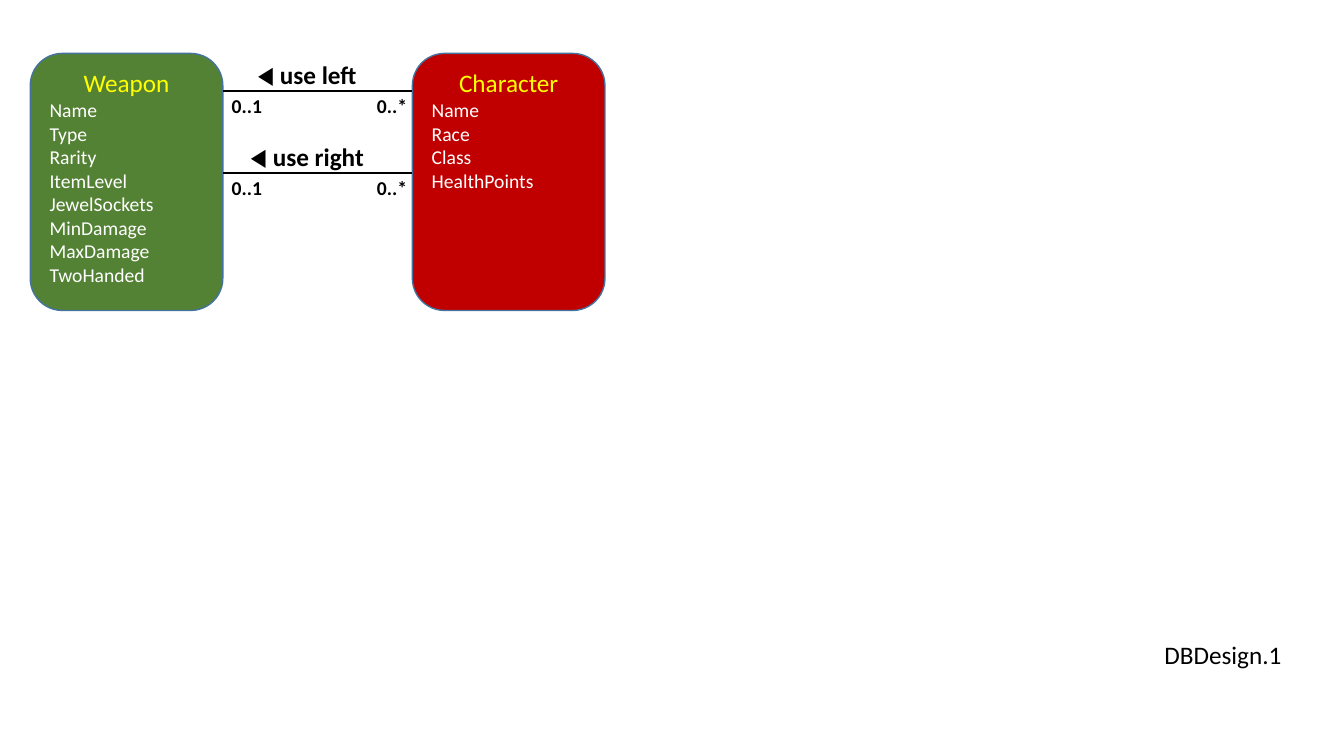
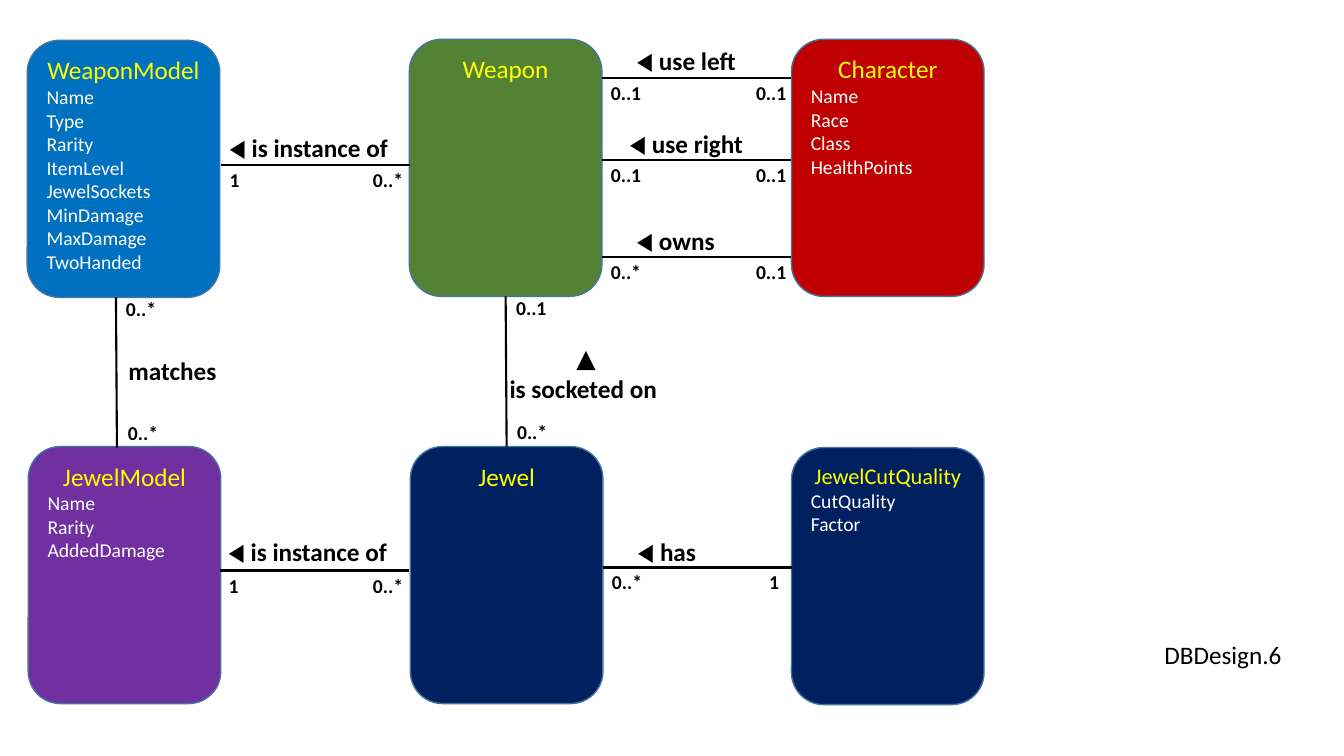
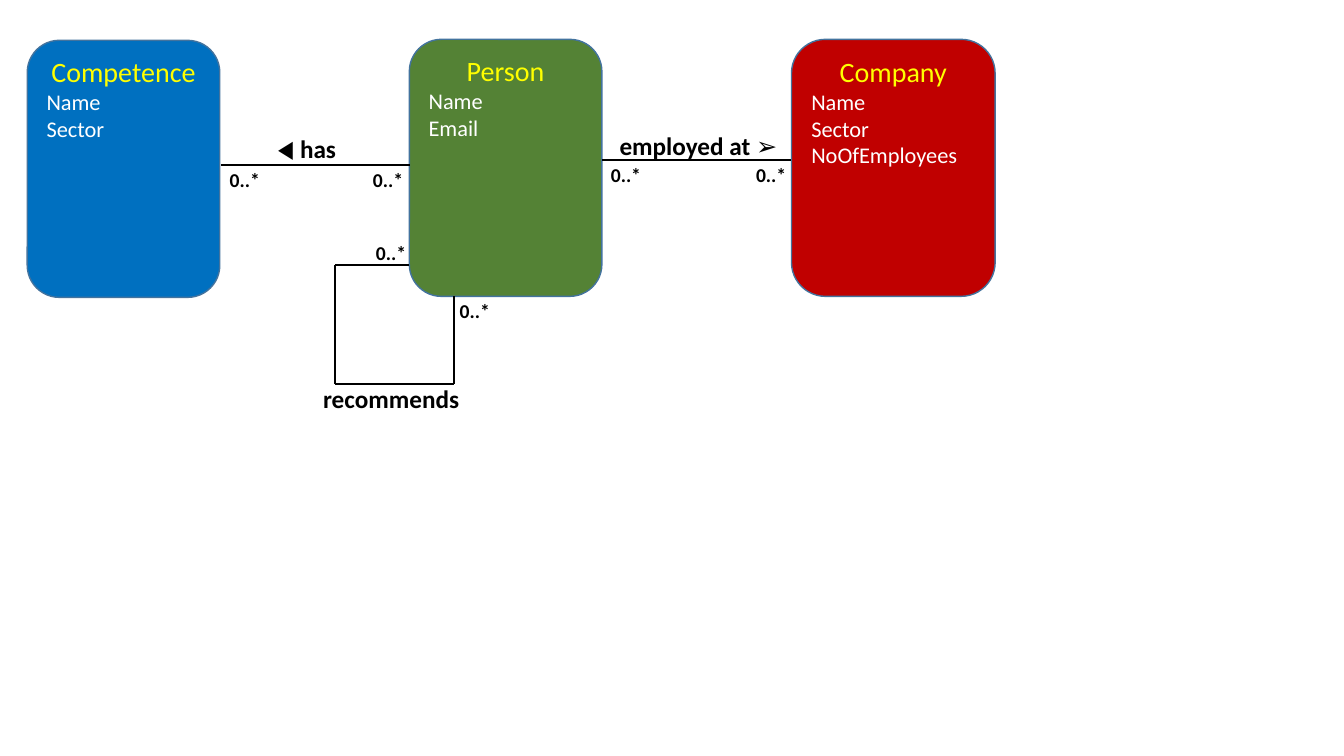
from dataclasses import dataclass
from itertools import pairwise

from lxml.etree import SubElement
from pptx import Presentation
from pptx.dml.color import RGBColor as Rgb
from pptx.enum.shapes import MSO_CONNECTOR as Conn, MSO_SHAPE as Form
from pptx.enum.text import MSO_ANCHOR as Anchor, PP_ALIGN as Align
from pptx.oxml.ns import qn
from pptx.shapes.autoshape import Shape
from pptx.shapes.connector import Connector
from pptx.slide import Slide
from pptx.util import Pt

# Shared look
PX = 9144  # EMU in one px, 100 px to the inch
FONT = "Calibri"
BLACK = Rgb(0x00, 0x00, 0x00)
WHITE = Rgb(0xFF, 0xFF, 0xFF)
YELLOW = Rgb(0xFF, 0xFF, 0x00)
GREEN = Rgb(0x54, 0x82, 0x35)
RED = Rgb(0xC0, 0x00, 0x00)
BLUE = Rgb(0x00, 0x70, 0xC0)
PURPLE = Rgb(0x70, 0x30, 0xA0)
NAVY = Rgb(0x00, 0x20, 0x60)
EDGE = Rgb(0x43, 0x73, 0x9E)

BOX_W, BOX_H = 191, 255
VERB = {"size": 18, "bold": True, "color": BLACK}
MARK = {"size": 14, "bold": True, "color": BLACK}
FOOT = {"size": 18, "bold": False, "color": BLACK}
HIGH = {18: 40, 14: 34}  # label height by text size


@dataclass
class Box:
    """An entity: its name and its attributes."""
    name: str
    x: int
    y: int
    fill: Rgb
    items: tuple[str, ...] = ()
    head: int = 18
    body: int = 14
    w: int = BOX_W


@dataclass
class Note:
    """A line of free text; | parts paragraphs."""
    text: str
    x: int
    y: int
    w: int
    mid: bool = False


@dataclass
class Link:
    """A relation with its verb and the count at each end."""
    ends: tuple[int, int, int, int]
    first: str
    last: str
    verb: Note
    back: int = 45  # from the right end to its count
    join: tuple[str, str] | None = None  # boxes glued bottom to top


@dataclass
class Page:
    boxes: list[Box]
    links: list[Link]
    foot: str = ""


def style(font, form: dict) -> None:
    for key, val in {"name": FONT, **form}.items():
        if key == "color":
            font.color.rgb = val
        else:
            setattr(font, key, Pt(val) if key == "size" else val)


def draw_box(slide: Slide, box: Box) -> Shape:
    shape = slide.shapes.add_shape(
        Form.ROUNDED_RECTANGLE, *(n * PX for n in (box.x, box.y, box.w, BOX_H)))
    shape.shadow.inherit = False
    shape.fill.solid()
    shape.fill.fore_color.rgb = box.fill
    shape.line.color.rgb = EDGE
    shape.line.width = Pt(1)
    frame = shape.text_frame
    frame.word_wrap = True
    frame.vertical_anchor = Anchor.TOP
    for i, text in enumerate((box.name, *box.items)):
        para = frame.add_paragraph() if i else frame.paragraphs[0]
        para.alignment = Align.LEFT if i else Align.CENTER
        run = para.add_run()
        run.text = text
        style(run.font, {"size": box.body if i else box.head,
                         "color": WHITE if i else YELLOW})
    return shape


def draw_note(slide: Slide, note: Note, form: dict) -> None:
    lines = note.text.split("|")
    high = HIGH[form["size"]] + 31 * (len(lines) - 1)
    area = slide.shapes.add_textbox(
        *(n * PX for n in (note.x, note.y, note.w, high)))
    frame = area.text_frame
    frame.word_wrap = False
    for i, text in enumerate(lines):
        para = frame.add_paragraph() if i else frame.paragraphs[0]
        para.alignment = Align.CENTER if note.mid else Align.LEFT
        run = para.add_run()
        run.text = text
        style(run.font, form)


def draw_mark(slide: Slide, text: str, x: int, y: int) -> None:
    draw_note(slide, Note(text, x, y, 30 if len(text) == 1 else 51), MARK)


def draw_line(slide: Slide, ends: tuple[int, int, int, int]) -> Connector:
    line = slide.shapes.add_connector(Conn.STRAIGHT, *(n * PX for n in ends))
    line.line.color.rgb = BLACK
    line.line.width = Pt(1.5)
    SubElement(line._element.spPr, qn("a:effectLst"))
    return line


def draw_link(slide: Slide, link: Link, shapes: dict[str, Shape]) -> None:
    line = draw_line(slide, link.ends)
    if link.join:
        top, low = link.join
        line.begin_connect(shapes[top], 2)
        line.end_connect(shapes[low], 0)
    x1, y1, x2, y2 = link.ends
    if y1 == y2:
        draw_mark(slide, link.first, x1 - 1, y1 - 2)
        draw_mark(slide, link.last, x2 - link.back, y2 - 2)
    else:
        draw_mark(slide, link.first, x1, y1 - 5)
        draw_mark(slide, link.last, x2 + 1, y2 - 31)
    draw_note(slide, link.verb, VERB)


def draw_page(slide: Slide, page: Page) -> None:
    shapes = {box.name: draw_box(slide, box) for box in page.boxes}
    for link in page.links:
        draw_link(slide, link, shapes)
    if page.foot:
        draw_note(slide, Note(page.foot, 1145, 629, 138), FOOT)


def draw_loop(slide: Slide) -> None:
    """The relation from a person to a person."""
    turns = [(406, 263), (332, 263), (332, 381), (450, 381), (450, 294)]
    for start, end in pairwise(turns):
        draw_line(slide, (*start, *end))
    draw_mark(slide, "0..*", 363, 234)
    draw_mark(slide, "0..*", 446, 292)
    draw_note(slide, Note("recommends", 310, 375, 156, True), VERB)


# Content
GEAR = ("Name", "Type", "Rarity", "ItemLevel", "JewelSockets",
        "MinDamage", "MaxDamage", "TwoHanded")
HERO = ("Name", "Race", "Class", "HealthPoints")
LEFT, RIGHT, KIND = " ◀ use left", " ◀ use right", " ◀ is instance of"

PAGES = [
    Page(
        [Box("Weapon", 30, 53, GREEN, GEAR),
         Box("Character", 409, 53, RED, HERO)],
        [Link((221, 90, 409, 90), "0..1", "0..*", Note(LEFT, 240, 54, 129)),
         Link((221, 172, 409, 172), "0..1", "0..*",
              Note(RIGHT, 233, 135, 143))],
        "DBDesign.1"),
    Page(
        [Box("WeaponModel", 27, 40, BLUE, GEAR),
         Box("Weapon", 406, 39, GREEN),
         Box("Character", 785, 39, RED, HERO),
         Box("JewelModel", 28, 443, PURPLE, ("Name", "Rarity", "AddedDamage")),
         Box("Jewel", 407, 443, NAVY),
         Box("JewelCutQuality", 785, 444, NAVY, ("CutQuality", "Factor"), 16)],
        [Link((597, 77, 785, 77), "0..1", "0..1", Note(LEFT, 616, 40, 129)),
         Link((597, 159, 785, 159), "0..1", "0..1",
              Note(RIGHT, 609, 122, 143)),
         Link((597, 255, 785, 255), "0..*", "0..1",
              Note(" ◀ owns", 616, 219, 107)),
         Link((219, 164, 407, 164), "1", "0..*",
              Note(KIND, 212, 126, 188), 47),
         Link((218, 566, 406, 566), "1", "0..*",
              Note(KIND, 211, 527, 188), 46),
         Link((598, 563, 786, 563), "0..*", "1",
              Note(" ◀ has", 617, 527, 88), 33),
         Link((115, 295, 116, 444), "0..*", "0..*",
              Note("matches", 117, 348, 108, True)),
         Link((502, 294, 502, 443), "0..1", "0..*",
              Note(" ▲|is socketed on", 495, 335, 167, True),
              join=("Weapon", "Jewel"))],
        "DBDesign.6"),
    Page(
        [Box("Competence", 27, 40, BLUE, ("Name", "Sector"), 20, 16),
         Box("Person", 406, 39, GREEN, ("Name", "Email"), 20, 16),
         Box("Company", 785, 39, RED, ("Name", "Sector", "NoOfEmployees"),
             20, 16, 202)],
        [Link((219, 164, 407, 164), "0..*", "0..*",
              Note(" ◀ has", 260, 127, 88), 47),
         Link((597, 159, 785, 159), "0..*", "0..*",
              Note(" employed at ➢", 599, 124, 182))]),
]


def main() -> None:
    deck = Presentation()
    deck.slide_width, deck.slide_height = 1333 * PX, 750 * PX
    blank = deck.slide_layouts[6]
    for page in PAGES:
        slide = deck.slides.add_slide(blank)
        draw_page(slide, page)
    draw_loop(slide)  # on the last slide
    deck.save("out.pptx")


if __name__ == "__main__":
    main()
